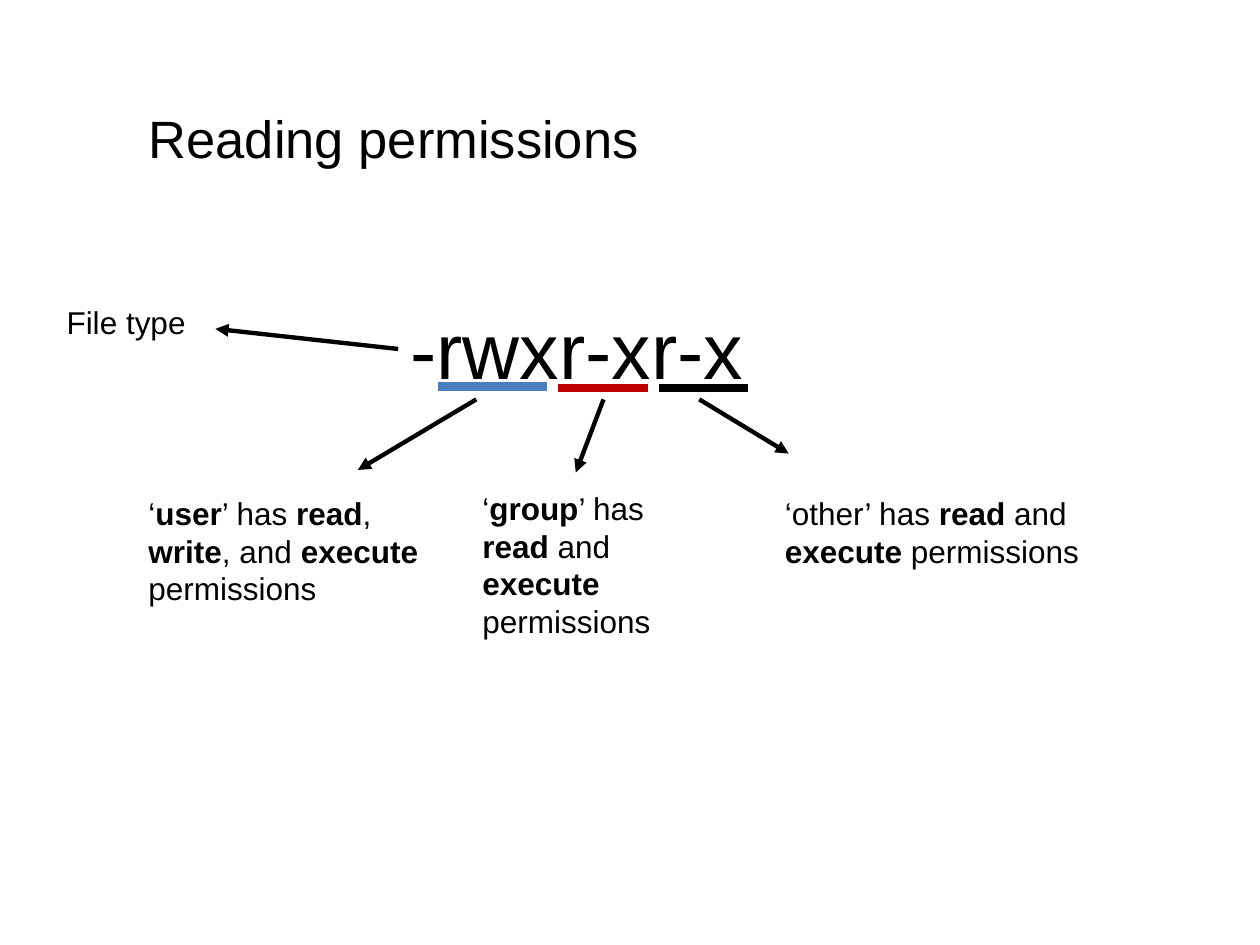
import pptx
import pptx.util
import pptx.dml.color
import pptx.enum.shapes
import pptx.enum.text
import pptx.oxml.ns
import lxml.etree

WIDTH, HEIGHT = pptx.util.Inches(10), pptx.util.Inches(7.5)
COLUMNS, ROWS = 100, 75
BLACK = "000000"


def x(columns):
    return round(WIDTH * columns / COLUMNS)


def y(rows):
    return round(HEIGHT * rows / ROWS)


def rgb(color):
    return pptx.dml.color.RGBColor.from_string(color)


def fill_text(shape, text, size, wrap):
    tf = shape.text_frame
    tf.word_wrap = wrap
    tf.auto_size = pptx.enum.text.MSO_AUTO_SIZE.SHAPE_TO_FIT_TEXT
    tf.vertical_anchor = pptx.enum.text.MSO_ANCHOR.TOP
    p = tf.paragraphs[0]
    p.alignment = pptx.enum.text.PP_ALIGN.LEFT
    for i, part in enumerate(text.split("*")):
        r = p.add_run()
        r.text = part
        r.font.name = "Arial"
        r.font.size = pptx.util.Pt(size)
        r.font.bold = i % 2 == 1
        r.font.color.rgb = rgb(BLACK)


def add_title(s, text, left, top, width, height):
    title = s.shapes.title
    title.left, title.top = x(left), y(top)
    title.width, title.height = x(width), y(height)
    fill_text(title, text, 30, False)


def add_label(s, text, left, top, width, height, size=18, wrap=True):
    box = s.shapes.add_textbox(x(left), y(top), x(width), y(height))
    fill_text(box, text, size, wrap)


def add_line(s, start, end, color, weight):
    line = s.shapes.add_connector(
        pptx.enum.shapes.MSO_CONNECTOR.STRAIGHT,
        x(start[0]), y(start[1]), x(end[0]), y(end[1]))
    line.line.color.rgb = rgb(color)
    line.line.width = pptx.util.Pt(weight)
    lxml.etree.SubElement(line._element.spPr, pptx.oxml.ns.qn("a:effectLst"))
    return line


def add_arrow(s, start, end):
    arrow = add_line(s, start, end, BLACK, 2.5)
    ln = arrow._element.spPr.find(pptx.oxml.ns.qn("a:ln"))
    lxml.etree.SubElement(ln, pptx.oxml.ns.qn("a:tailEnd"), type="triangle")


def main():
    prs = pptx.Presentation()
    prs.slide_width, prs.slide_height = WIDTH, HEIGHT
    s = prs.slides.add_slide(prs.slide_layouts[5])

    add_title(s, "Reading permissions", 10.8, 7.9, 41.7, 6.1)
    add_label(s, "-rwxr-xr-x", 31.6, 23.4, 28.7, 8.6, size=45, wrap=False)

    for left, right, row, color in [
        (34.8, 43.4, 30.7, "4B7EBC"),
        (44.3, 51.4, 30.8, "C00000"),
        (52.3, 59.4, 30.8, BLACK),
    ]:
        add_line(s, (left, row), (right, row), color, 5)

    for start, end in [
        ((37.8, 31.7), (28.4, 37.3)),
        ((47.9, 31.7), (45.7, 37.5)),
        ((55.5, 31.7), (62.6, 36)),
        ((31.6, 27.7), (17.1, 26.1)),
    ]:
        add_arrow(s, start, end)

    for text, left, top, width, height in [
        ("‘*user*’ has *read*, *write*, and *execute* permissions", 10.8, 38.7, 24.1, 10.1),
        ("‘*group*’ has *read* and *execute* permissions", 37.3, 38.3, 20.1, 13.1),
        ("‘other’ has *read* and *execute* permissions", 61.3, 38.7, 25.9, 7.1),
        ("File type", 4.3, 23.6, 24.1, 4),
    ]:
        add_label(s, text, left, top, width, height)

    prs.save("out.pptx")


if __name__ == "__main__":
    main()
